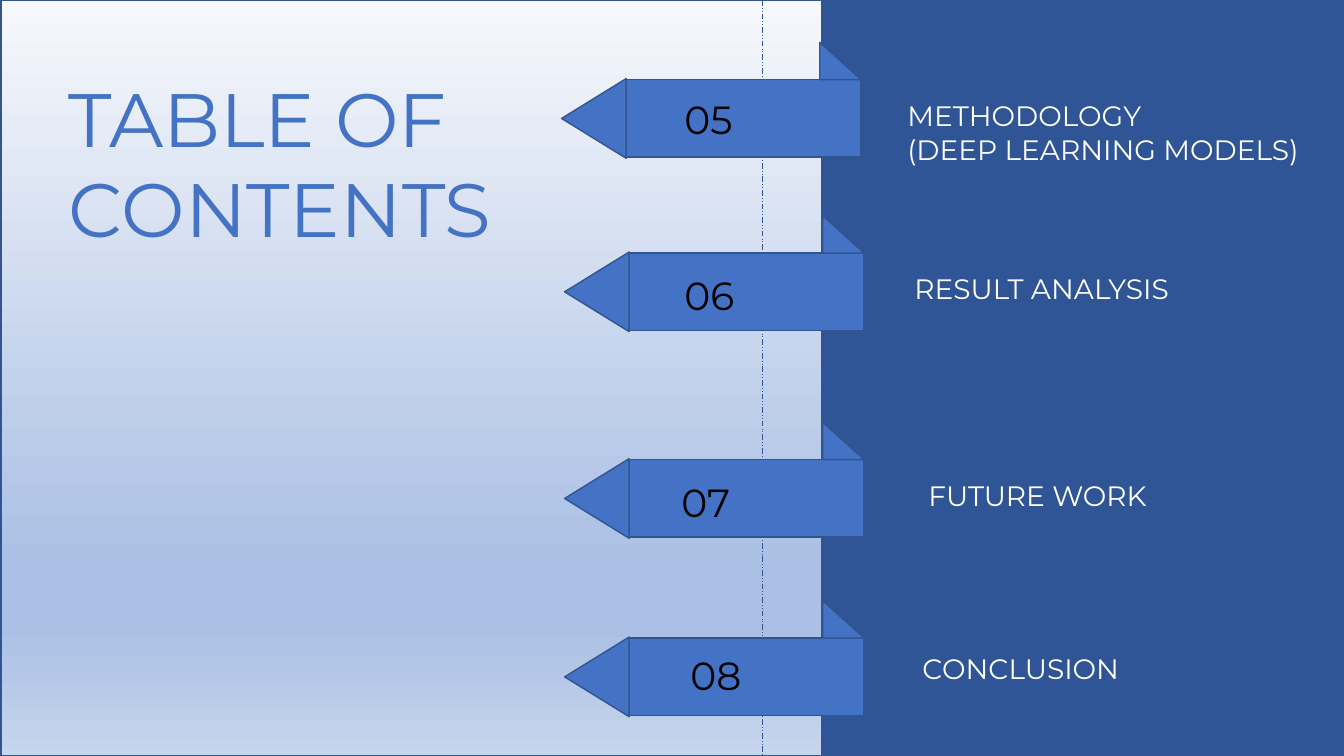
from copy import deepcopy
from pptx import Presentation
from pptx.dml.color import RGBColor
from pptx.enum.dml import MSO_LINE
from pptx.enum.shapes import MSO_CONNECTOR, MSO_SHAPE
from pptx.oxml.ns import qn
from pptx.util import Inches, Pt
from lxml import etree

RECT = MSO_SHAPE.RECTANGLE
TRIANGLE = MSO_SHAPE.ISOSCELES_TRIANGLE
FOLD = MSO_SHAPE.RIGHT_TRIANGLE
STRAIGHT = MSO_CONNECTOR.STRAIGHT
DASH = MSO_LINE.DASH_DOT_DOT

BLUE = RGBColor(0x44, 0x72, 0xC4)
NAVY = RGBColor(0x2F, 0x55, 0x97)
EDGE = RGBColor(0x32, 0x54, 0x91)
WHITE = RGBColor(0xFF, 0xFF, 0xFF)
BLACK = RGBColor(0, 0, 0)
PALE = RGBColor(0xF6, 0xF8, 0xFC)
SKY = RGBColor(0xAB, 0xC0, 0xE4)
MIST = RGBColor(0xC7, 0xD5, 0xED)
STOPS = [(0, PALE), (0.74, SKY), (0.83, SKY), (1, MIST)]

WIDE, HIGH = 13.33, 7.5
SPLIT = 8.15
FONT = "Montserrat"
TAG_W, TAG_H = 2.33, 0.77
TIP_W, TIP_H = 0.64, 0.79
FOLD_W, FOLD_H = 0.41, 0.37

# number, label, tag left and top, number left and top, label left and top
ITEMS = [
    ("05", "METHODOLOGY\n(DEEP LEARNING MODELS)", (6.21, 0.79), (6.69, 0.9), (8.9, 0.93)),
    ("06", "RESULT ANALYSIS", (6.24, 2.51), (6.69, 2.64), (8.97, 2.64)),
    ("07", "FUTURE WORK", (6.24, 4.56), (6.66, 4.7), (9.11, 4.7)),
    ("08", "CONCLUSION", (6.24, 6.33), (6.75, 6.41), (9.05, 6.41)),
]


def add_part(shapes, kind, x, y, w, h, fill=BLUE):
    part = shapes.add_shape(kind, Inches(x), Inches(y), Inches(w), Inches(h))
    part.shadow.inherit = False
    part.fill.solid()
    part.fill.fore_color.rgb = fill
    part.line.color.rgb = EDGE
    part.line.width = Pt(1)
    return part


def add_text(slide, text, x, y, w, h, size=20, color=WHITE):
    box = slide.shapes.add_textbox(Inches(x), Inches(y), Inches(w), Inches(h))
    frame = box.text_frame
    frame.word_wrap = True
    frame.text = text
    for para in frame.paragraphs:
        para.font.name = FONT
        para.font.size = Pt(size)
        para.font.color.rgb = color


def shade(part):
    """Fill the part from top to bottom with the colours in STOPS."""
    fill = part.fill
    fill.gradient()
    fill.gradient_angle = 270
    stops = part._element.spPr.find(qn("a:gradFill")).find(qn("a:gsLst"))
    for _ in range(len(STOPS) - len(stops)):
        stops.append(deepcopy(stops[0]))
    for stop, (place, color) in zip(fill.gradient_stops, STOPS):
        stop.position = place
        stop.color.rgb = color


def add_panels(slide):
    shade(add_part(slide.shapes, RECT, 0.01, 0, SPLIT, HIGH))
    add_part(slide.shapes, RECT, SPLIT, 0, WIDE - SPLIT, HIGH, fill=NAVY)


def add_guide(slide, x):
    guide = slide.shapes.add_connector(STRAIGHT, Inches(x), 0, Inches(x), Inches(HIGH))
    guide.line.color.rgb = NAVY
    guide.line.width = Pt(0.5)
    guide.line.dash_style = DASH
    etree.SubElement(guide._element.spPr, qn("a:effectLst"))


def add_tag(slide, x, y):
    """Draw a folded ribbon whose body starts at x, y and points left."""
    parts = slide.shapes.add_group_shape().shapes
    add_part(parts, RECT, x, y, TAG_W, TAG_H)
    mid_x, mid_y = x - TIP_W / 2, y + TAG_H / 2
    tip = add_part(parts, TRIANGLE, mid_x - TIP_H / 2, mid_y - TIP_W / 2, TIP_H, TIP_W)
    tip.rotation = 270
    add_part(parts, FOLD, x + TAG_W - FOLD_W, y - FOLD_H, FOLD_W, FOLD_H)


def add_item(slide, number, label, tag, spot, start):
    add_tag(slide, *tag)
    add_text(slide, number, *spot, 1.25, 0.57, size=28, color=BLACK)
    add_text(slide, label, *start, 4.22, 0.44 + 0.34 * label.count("\n"))


def main():
    deck = Presentation()
    deck.slide_width, deck.slide_height = Inches(WIDE), Inches(HIGH)
    slide = deck.slides.add_slide(deck.slide_layouts[6])
    add_panels(slide)
    add_guide(slide, 7.56)
    add_text(slide, "TABLE OF CONTENTS", 0.58, 0.66, 5.25, 1.92, size=54, color=BLUE)
    for item in ITEMS:
        add_item(slide, *item)
    deck.save("out.pptx")


if __name__ == "__main__":
    main()
